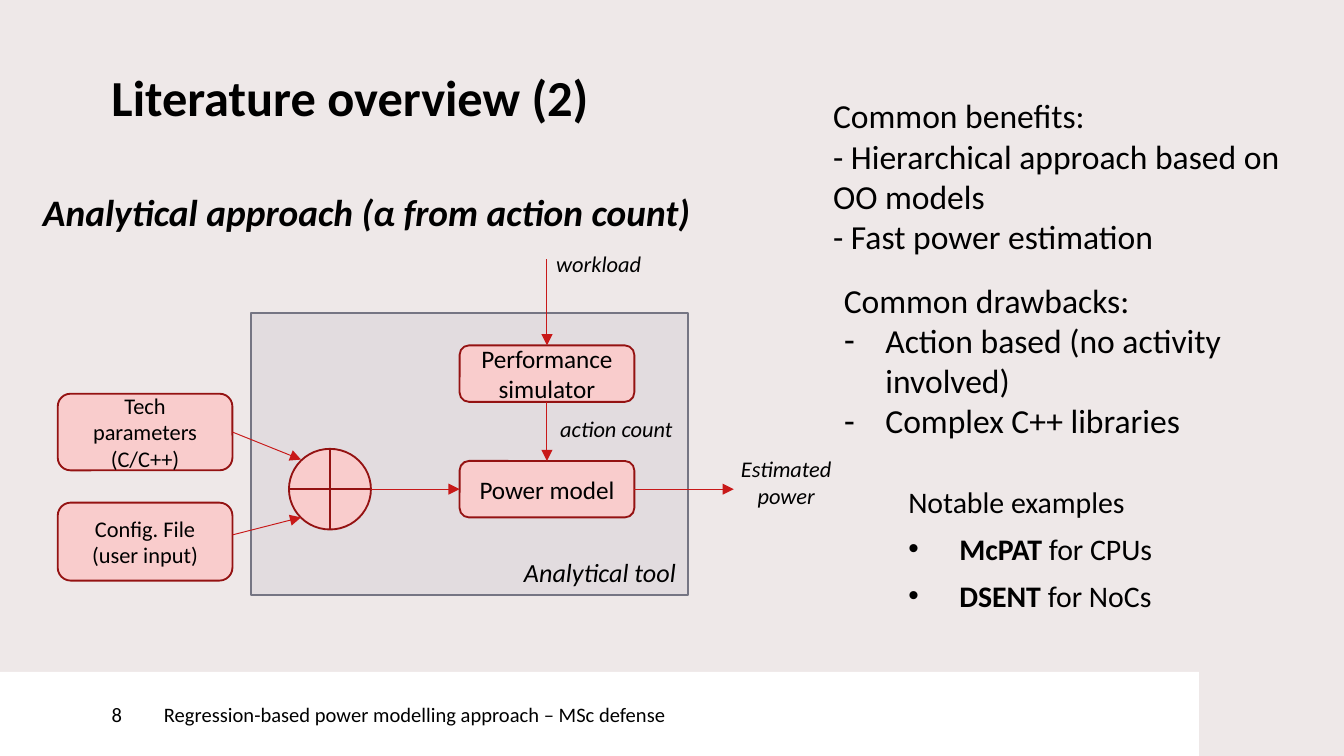
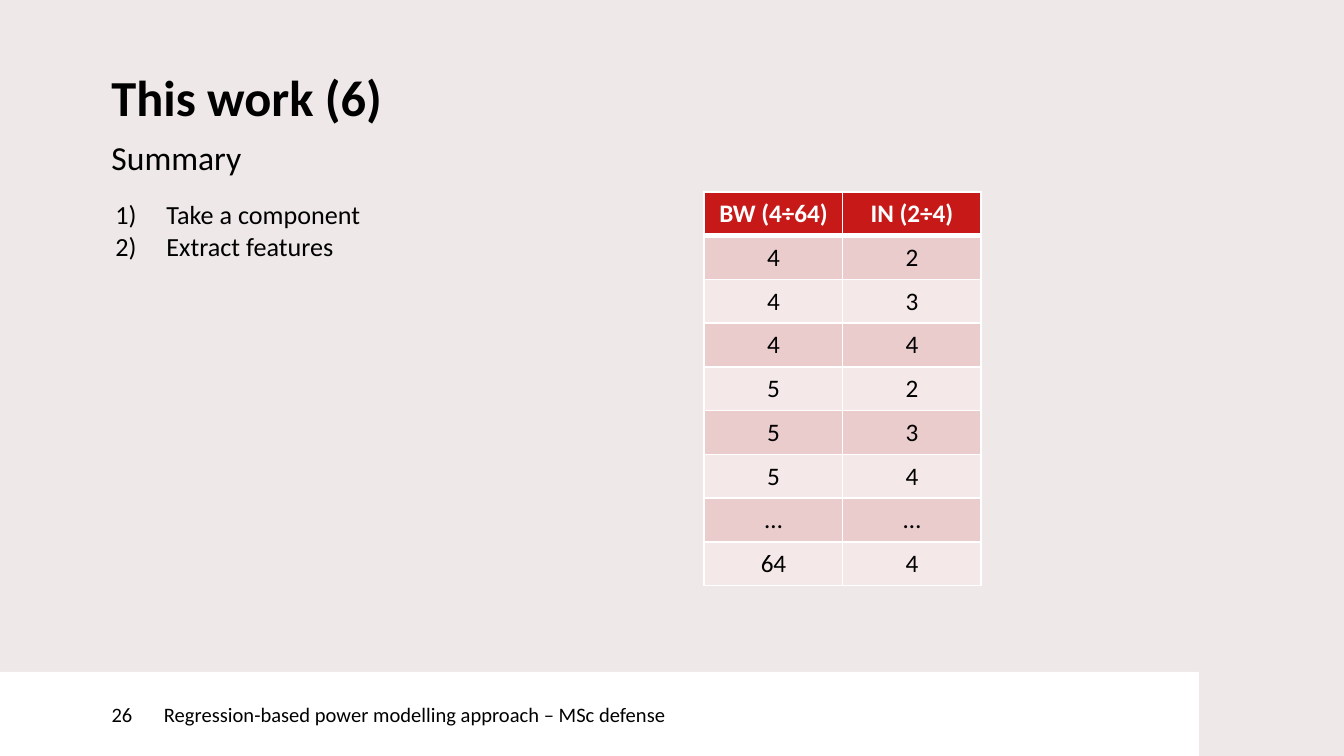
"""Build two thesis-defense slides: a literature overview and a work summary."""
from dataclasses import dataclass
from typing import Optional

from lxml.etree import SubElement
from pptx import Presentation
from pptx.dml.color import RGBColor
from pptx.enum.shapes import MSO_CONNECTOR, MSO_SHAPE
from pptx.enum.text import MSO_ANCHOR as Anchor, MSO_AUTO_SIZE as AutoSize, PP_ALIGN as Align
from pptx.oxml.ns import qn
from pptx.util import Inches, Pt


@dataclass(frozen=True)
class Theme:
    font: str = "Calibri"
    bullet_font: str = "Arial"
    background: str = "EEE8E8"
    band: str = "FFFFFF"
    text: str = "000000"
    accent: str = "C81919"
    box_fill: str = "F9CCCC"
    box_line: str = "941212"
    frame_fill: str = "9E9EB1"
    frame_line: str = "757583"
    row_dark: str = "EBCCCC"
    row_light: str = "F5E8E8"
    title: float = 27
    heading: float = 20
    body: float = 18
    example: float = 16
    caption: float = 14
    label: float = 13.5
    small: float = 12
    footer: float = 11


THEME = Theme()


@dataclass(frozen=True)
class Area:
    left: float
    top: float
    width: float
    height: float

    @property
    def lengths(self):
        return tuple(Inches(n) for n in (self.left, self.top, self.width, self.height))

    @property
    def right(self) -> float:
        return self.left + self.width

    @property
    def bottom(self) -> float:
        return self.top + self.height

    @property
    def center(self) -> float:
        return self.left + self.width / 2

    @property
    def middle(self) -> float:
        return self.top + self.height / 2


@dataclass(frozen=True)
class Run:
    text: str
    bold: Optional[bool] = None
    size: Optional[float] = None
    breaks: bool = False


@dataclass(frozen=True)
class Line:
    runs: tuple
    bullet: str = ""
    indent: float = 0


@dataclass(frozen=True)
class Box:
    area: Area
    text: str
    size: float


@dataclass(frozen=True)
class Label:
    area: Area
    text: str
    size: float = THEME.small
    align: Align = Align.LEFT


@dataclass(frozen=True)
class Arrow:
    start: tuple
    end: tuple


NUMBER_BAND = Area(0, 5, 1.22, 0.63)
FOOTER_BAND = Area(1.22, 5, 7.7, 0.63)
FOOTER = "Regression-based power modelling approach – MSc defense"
MARGIN = 0.83
NUMBERED = "1)"

TOOL = Area(1.87, 2.33, 3.25, 2.1)
PARAMETERS = Area(0.43, 2.93, 1.3, 0.57)
CONFIG = Area(0.43, 3.74, 1.3, 0.58)
SIMULATOR = Area(3.42, 2.57, 1.3, 0.42)
MODEL = Area(3.42, 3.43, 1.3, 0.42)
JOIN = Area(2.15, 3.34, 0.61, 0.6)

BOXES = (
    Box(PARAMETERS, "Tech parameters (C/C++)", THEME.small),
    Box(CONFIG, "Config. File (user input)", THEME.small),
    Box(MODEL, "Power model", THEME.label),
    Box(SIMULATOR, "Performance simulator", THEME.label),
)
ARROWS = (
    Arrow((PARAMETERS.right, PARAMETERS.middle), (2.24, 3.42)),
    Arrow((CONFIG.right, 3.98), (2.24, 3.85)),
    Arrow((JOIN.right, MODEL.middle), (MODEL.left, MODEL.middle)),
    Arrow((SIMULATOR.center, SIMULATOR.bottom), (MODEL.center, MODEL.top)),
    Arrow((MODEL.right, MODEL.middle), (5.46, MODEL.middle)),
    Arrow((SIMULATOR.center, 1.93), (SIMULATOR.center, SIMULATOR.top)),
)
LABELS = (
    Label(Area(4.07, 3.04, 1.21, 0.3), "action count"),
    Label(Area(4.04, 1.81, 0.85, 0.3), "workload"),
    Label(Area(3.8, 4.09, 1.49, 0.34), "Analytical tool", THEME.caption),
    Label(Area(5.31, 3.34, 1.08, 0.5), "Estimated power", align=Align.CENTER),
)
FEATURES = (
    ("BW (4÷64)", "IN (2÷4)"),
    *((str(width), str(inputs)) for width in (4, 5) for inputs in (2, 3, 4)),
    ("…", "…"),
    ("64", "4"),
)


def rgb(value: str) -> RGBColor:
    """Turn a hex value into a colour."""
    return RGBColor.from_string(value)


def plain(*texts: str) -> tuple:
    """Make one unbulleted line of each text."""
    return tuple(Line((Run(text),)) for text in texts)


def add_bullet(paragraph, line: Line) -> None:
    """Give a paragraph a hanging bullet or number."""
    properties = paragraph._p.get_or_add_pPr()
    properties.set("marL", str(Inches(line.indent)))
    properties.set("indent", str(-Inches(line.indent)))
    if line.bullet == NUMBERED:
        SubElement(properties, qn("a:buAutoNum"), type="arabicParenR")
    else:
        SubElement(properties, qn("a:buFont"), typeface=THEME.bullet_font)
        SubElement(properties, qn("a:buChar"), char=line.bullet)


def write_text(frame, lines: tuple, *, size: float, color: str = THEME.text,
               bold: bool = False, italic: bool = False, align: Align = Align.LEFT,
               spacing: Optional[float] = None, after: float = 0) -> None:
    """Fill a text frame with formatted lines."""
    frame.word_wrap = True
    for index, line in enumerate(lines):
        paragraph = frame.add_paragraph() if index else frame.paragraphs[0]
        paragraph.alignment = align
        paragraph.space_after = Pt(after)
        if spacing:
            paragraph.line_spacing = Pt(spacing)
        if line.bullet:
            add_bullet(paragraph, line)
        for item in line.runs:
            run = paragraph.add_run()
            run.text = item.text
            font = run.font
            font.name = THEME.font
            font.size = Pt(item.size or size)
            font.bold = bold if item.bold is None else item.bold
            font.italic = italic
            font.color.rgb = rgb(color)
            if item.breaks:
                paragraph.add_line_break()


def set_margins(frame, left: float = 0) -> None:
    """Clear the insets of a frame except the left one."""
    frame.margin_left = Inches(left)
    frame.margin_top = frame.margin_right = frame.margin_bottom = 0


def add_text(slide, area: Area, lines: tuple, *, inset: bool = True, **style) -> None:
    """Add a text box, growing with its text when it has insets."""
    frame = slide.shapes.add_textbox(*area.lengths).text_frame
    write_text(frame, lines, **style)
    if inset:
        frame.auto_size = AutoSize.SHAPE_TO_FIT_TEXT
    else:
        set_margins(frame)


def add_shape(slide, kind: MSO_SHAPE, area: Area, fill: str, line: Optional[str] = None):
    """Add a flat preset shape."""
    shape = slide.shapes.add_shape(kind, *area.lengths)
    shape.shadow.inherit = False
    shape.fill.solid()
    shape.fill.fore_color.rgb = rgb(fill)
    if line:
        shape.line.color.rgb = rgb(line)
        shape.line.width = Pt(1)
    else:
        shape.line.fill.background()
    shape.text_frame.vertical_anchor = Anchor.MIDDLE
    return shape


def add_arrow(slide, arrow: Arrow) -> None:
    """Draw a thin line with a triangular head."""
    points = (Inches(n) for n in (*arrow.start, *arrow.end))
    connector = slide.shapes.add_connector(MSO_CONNECTOR.STRAIGHT, *points)
    connector.line.color.rgb = rgb(THEME.accent)
    connector.line.width = Pt(0.5)
    SubElement(connector.line._get_or_add_ln(), qn("a:tailEnd"), type="triangle")
    SubElement(connector._element.spPr, qn("a:effectLst"))


def add_slide(presentation, number: int, title: tuple, title_width: float):
    """Add a slide with background, title and footer bands."""
    slide = presentation.slides.add_slide(presentation.slide_layouts[6])
    slide.background.fill.solid()
    slide.background.fill.fore_color.rgb = rgb(THEME.background)
    for area, text, left in ((FOOTER_BAND, FOOTER, 0), (NUMBER_BAND, str(number), MARGIN)):
        frame = add_shape(slide, MSO_SHAPE.RECTANGLE, area, THEME.band).text_frame
        set_margins(frame, left)
        write_text(frame, plain(text), size=THEME.footer)
    add_text(slide, Area(MARGIN, 0.57, title_width, 0.59), title, inset=False,
             size=THEME.title, bold=True, spacing=THEME.title)
    return slide


def add_diagram(slide) -> None:
    """Draw the flow through the analytical tool."""
    frame = add_shape(slide, MSO_SHAPE.RECTANGLE, TOOL, THEME.frame_fill, THEME.frame_line)
    color = frame._element.spPr.find(qn("a:solidFill"))[0]
    SubElement(color, qn("a:alpha"), val="15000")
    add_shape(slide, MSO_SHAPE.FLOWCHART_OR, JOIN, THEME.box_fill, THEME.box_line)
    for box in BOXES:
        shape = add_shape(slide, MSO_SHAPE.ROUNDED_RECTANGLE, box.area,
                          THEME.box_fill, THEME.box_line)
        write_text(shape.text_frame, plain(box.text), size=box.size, align=Align.CENTER)
    for arrow in ARROWS:
        add_arrow(slide, arrow)
    for label in LABELS:
        add_text(slide, label.area, plain(label.text), size=label.size,
                 italic=True, align=label.align)


def add_borders(cell, bottom: float) -> None:
    """Give a cell white borders."""
    properties = cell._tc.get_or_add_tcPr()
    for side, width in (("L", 1), ("R", 1), ("T", 1), ("B", bottom)):
        border = SubElement(properties, qn(f"a:ln{side}"), w=str(Pt(width)))
        SubElement(SubElement(border, qn("a:solidFill")), qn("a:srgbClr"), val=THEME.band)


def add_feature_table(slide, area: Area) -> None:
    """Add the banded table of feature values."""
    table = slide.shapes.add_table(len(FEATURES), len(FEATURES[0]), *area.lengths).table
    for row, values in enumerate(FEATURES):
        header = row == 0
        fill = THEME.accent if header else THEME.row_dark if row % 2 else THEME.row_light
        for column, value in enumerate(values):
            cell = table.cell(row, column)
            add_borders(cell, 3 if header else 1)
            cell.fill.solid()
            cell.fill.fore_color.rgb = rgb(fill)
            write_text(cell.text_frame, plain(value), size=THEME.label, bold=header,
                       color=THEME.band if header else THEME.text, align=Align.CENTER)


def build_overview(presentation) -> None:
    """Build the literature overview slide."""
    slide = add_slide(presentation, 8, plain("Literature overview (2)"), 8.26)
    add_text(slide, Area(0.32, 1.41, 5.7, 0.45),
             plain("Analytical approach (α from action count)"),
             inset=False, size=THEME.heading, bold=True, italic=True)
    add_diagram(slide)
    add_text(slide, Area(6.1, 0.66, 3.71, 1.62), plain(
        "Common benefits:", "- Hierarchical approach based on OO models",
        "- Fast power estimation"), size=THEME.body)
    drawbacks = ("Action based (no activity involved)", "Complex C++ libraries")
    add_text(slide, Area(6.18, 2.03, 3.63, 1.31), plain("Common drawbacks:") + tuple(
        Line((Run(text),), "-", 0.31) for text in drawbacks), size=THEME.body)
    examples = (("McPAT", " for CPUs"), ("DSENT", " for NoCs"))
    add_text(slide, Area(6.66, 3.55, 2.7, 1.08), plain("Notable examples") + tuple(
        Line((Run(name, True), Run(use)), "•", 0.38) for name, use in examples),
        size=THEME.example, after=6)


def build_summary(presentation) -> None:
    """Build the summary slide."""
    title = Line((Run("This work (6)", breaks=True), Run("Summary", False, THEME.body)))
    slide = add_slide(presentation, 26, (title,), 6.07)
    steps = ("Take a component", "Extract features")
    add_text(slide, Area(0.76, 1.43, 4.48, 0.81), tuple(
        Line((Run(step),), NUMBERED, 0.38) for step in steps), size=THEME.caption)
    add_feature_table(slide, Area(5.24, 1.43, 2.06, 2.92))


def main() -> None:
    """Build and save the presentation."""
    presentation = Presentation()
    presentation.slide_width = Inches(10)
    presentation.slide_height = Inches(10) * 9 // 16
    build_overview(presentation)
    build_summary(presentation)
    presentation.save("out.pptx")


if __name__ == "__main__":
    main()
